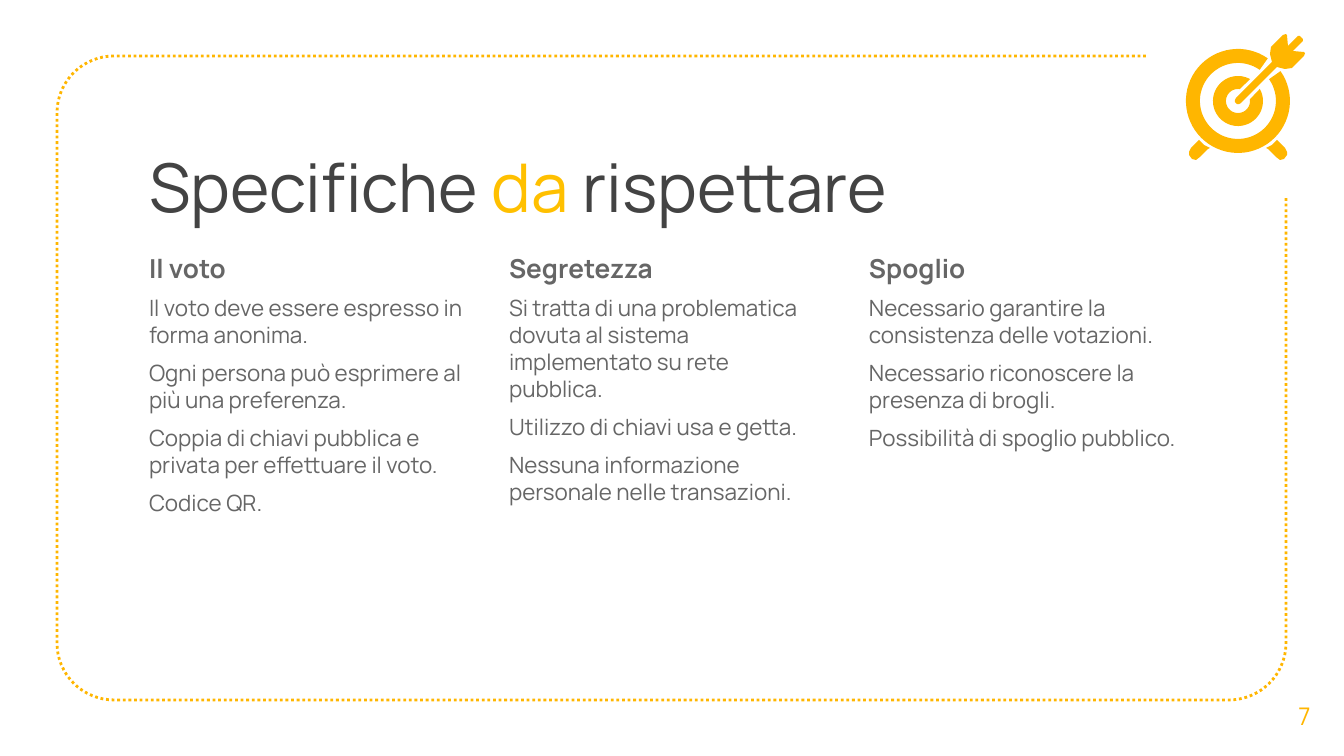
import math
from dataclasses import dataclass

import pptx
import pptx.dml.color
import pptx.enum.dml
import pptx.enum.text
import pptx.util
from lxml import etree

SLIDE_WIDTH, SLIDE_HEIGHT = 1344, 756
SCALE = 9144000 / SLIDE_WIDTH
FONT = "Manrope"
YELLOW, GOLD, DARK, GREY = "FFB600", "FFC000", "434343", "666666"
TARGET_X, TARGET_Y = 1238, 101
INSET = 13

Point = tuple[float, float]


@dataclass
class Column:
    heading: str
    items: list[str]


@dataclass
class Ring:
    outer: int
    inner: int
    outer_gap: int
    inner_gap: int


COLUMNS = [
    Column("Il voto", [
        "Il voto deve essere espresso in forma anonima.",
        "Ogni persona può esprimere al più una preferenza.",
        "Coppia di chiavi pubblica e privata per effettuare il voto.",
        "Codice QR.",
    ]),
    Column("Segretezza", [
        "Si tratta di una problematica dovuta al sistema implementato su rete pubblica.",
        "Utilizzo di chiavi usa e getta.",
        "Nessuna informazione personale nelle transazioni.",
    ]),
    Column("Spoglio", [
        "Necessario garantire la consistenza delle votazioni.",
        "Necessario riconoscere la presenza di brogli.",
        "Possibilità di spoglio pubblico.",
    ]),
]
RINGS = [Ring(52, 38, 10, 10), Ring(25, 12, 16, 37)]
LEFT_FOOT = [(1199, 140), (1191, 148), (1189, 152), (1189, 155), (1192, 159),
             (1196, 160), (1200, 157), (1208, 149), (1210, 148), (1204, 145)]
ARROW_HALF = [(-3, -1), (-3, 1), (-2, 3), (34, 39), (32, 47), (33, 54), (34, 55),
              (45, 66), (48, 67), (49, 66), (50, 55), (58, 63), (60, 65), (62, 65)]


def px(length: float) -> int:
    return round(length * SCALE)


def rgb(color: str) -> pptx.dml.color.RGBColor:
    return pptx.dml.color.RGBColor.from_string(color)


def arc(x: float, y: float, radius: float, start: int, end: int, steps: int) -> list[Point]:
    angles = [math.radians(start + (end - start) * i / steps) for i in range(steps + 1)]
    return [(x + radius * math.cos(a), y - radius * math.sin(a)) for a in angles]


def outline(shapes, points: list[Point], closed: bool = True):
    corners = [(px(x), px(y)) for x, y in points]
    builder = shapes.build_freeform(*corners[0])
    builder.add_line_segments(corners[1:], close=closed)
    shape = builder.convert_to_shape()
    shape.shadow.inherit = False
    return shape


def fill_outline(shapes, points: list[Point]) -> None:
    shape = outline(shapes, points)
    shape.fill.solid()
    shape.fill.fore_color.rgb = rgb(YELLOW)
    shape.line.fill.background()


def add_text(paragraph, text: str, *, size: int, color: str, bold: bool = False) -> None:
    run = paragraph.add_run()
    run.text = text
    run.font.name = FONT
    run.font.size = pptx.util.Pt(size)
    run.font.bold = bold
    run.font.color.rgb = rgb(color)


def place(shape, left: int, top: int, width: int, height: int,
          anchor=pptx.enum.text.MSO_ANCHOR.TOP):
    shape.left, shape.top = px(left), px(top)
    shape.width, shape.height = px(width), px(height)
    frame = shape.text_frame
    frame.word_wrap = True
    frame.auto_size = pptx.enum.text.MSO_AUTO_SIZE.NONE
    frame.vertical_anchor = anchor
    frame.margin_left = frame.margin_right = px(INSET)
    frame.margin_top = frame.margin_bottom = px(INSET)
    return frame


def fill_column(frame, column: Column) -> None:
    for index, text in enumerate([column.heading, *column.items]):
        heading = index == 0
        paragraph = frame.paragraphs[0] if heading else frame.add_paragraph()
        paragraph.alignment = pptx.enum.text.PP_ALIGN.LEFT
        paragraph.space_before = pptx.util.Pt(6)
        properties = paragraph._p.get_or_add_pPr()
        properties.set("marL", "0")
        properties.set("indent", "0")
        etree.SubElement(properties, pptx.oxml.ns.qn("a:buNone"))
        add_text(paragraph, text, size=14 if heading else 12, color=GREY, bold=heading)


def draw_frame(shapes) -> None:
    left, top, right, bottom, radius = 57, 56, 1286, 700, 57
    border = outline(shapes, [
        (1146, top),
        *arc(left + radius, top + radius, radius, 90, 180, 16),
        *arc(left + radius, bottom - radius, radius, 180, 270, 16),
        *arc(right - radius, bottom - radius, radius, 270, 360, 16),
        (right, 196),
    ], closed=False)
    border.fill.background()
    border.line.color.rgb = rgb(YELLOW)
    border.line.width = pptx.util.Pt(1.5)
    border.line.dash_style = pptx.enum.dml.MSO_LINE.ROUND_DOT


def draw_target(shapes) -> None:
    for ring in RINGS:
        fill_outline(shapes, [
            *arc(TARGET_X, TARGET_Y, ring.outer, 45 + ring.outer_gap, 405 - ring.outer_gap, 64),
            *arc(TARGET_X, TARGET_Y, ring.inner, 405 - ring.inner_gap, 45 + ring.inner_gap, 64),
        ])
    fill_outline(shapes, LEFT_FOOT)
    fill_outline(shapes, [(2 * TARGET_X - x, y) for x, y in LEFT_FOOT])
    other_half = [(up, right) for right, up in reversed(ARROW_HALF)]
    fill_outline(shapes, [(TARGET_X + right, TARGET_Y - up)
                          for right, up in ARROW_HALF + other_half])


def main() -> None:
    deck = pptx.Presentation()
    deck.slide_width, deck.slide_height = px(SLIDE_WIDTH), px(SLIDE_HEIGHT)
    slide = deck.slides.add_slide(deck.slide_layouts.get_by_name("Comparison"))
    title, *bodies = slide.placeholders
    for spare in bodies[len(COLUMNS):]:
        spare.element.getparent().remove(spare.element)

    draw_frame(slide.shapes)
    heading = place(title, 136, 132, 1009, 126).paragraphs[0]
    heading.alignment = pptx.enum.text.PP_ALIGN.LEFT
    for text, color in [("Specifiche ", DARK), ("da", GOLD), (" rispettare", DARK)]:
        add_text(heading, text, size=36, color=color)

    for index, (body, column) in enumerate(zip(bodies, COLUMNS)):
        fill_column(place(body, 136 + 360 * index, 239, 343, 218), column)

    page_number = slide.shapes.add_textbox(0, 0, 0, 0)
    page = place(page_number, 1265, 675, 79, 81, pptx.enum.text.MSO_ANCHOR.MIDDLE).paragraphs[0]
    page.alignment = pptx.enum.text.PP_ALIGN.CENTER
    add_text(page, "7", size=13, color=YELLOW)
    draw_target(slide.shapes.add_group_shape().shapes)
    deck.save("out.pptx")


if __name__ == "__main__":
    main()
